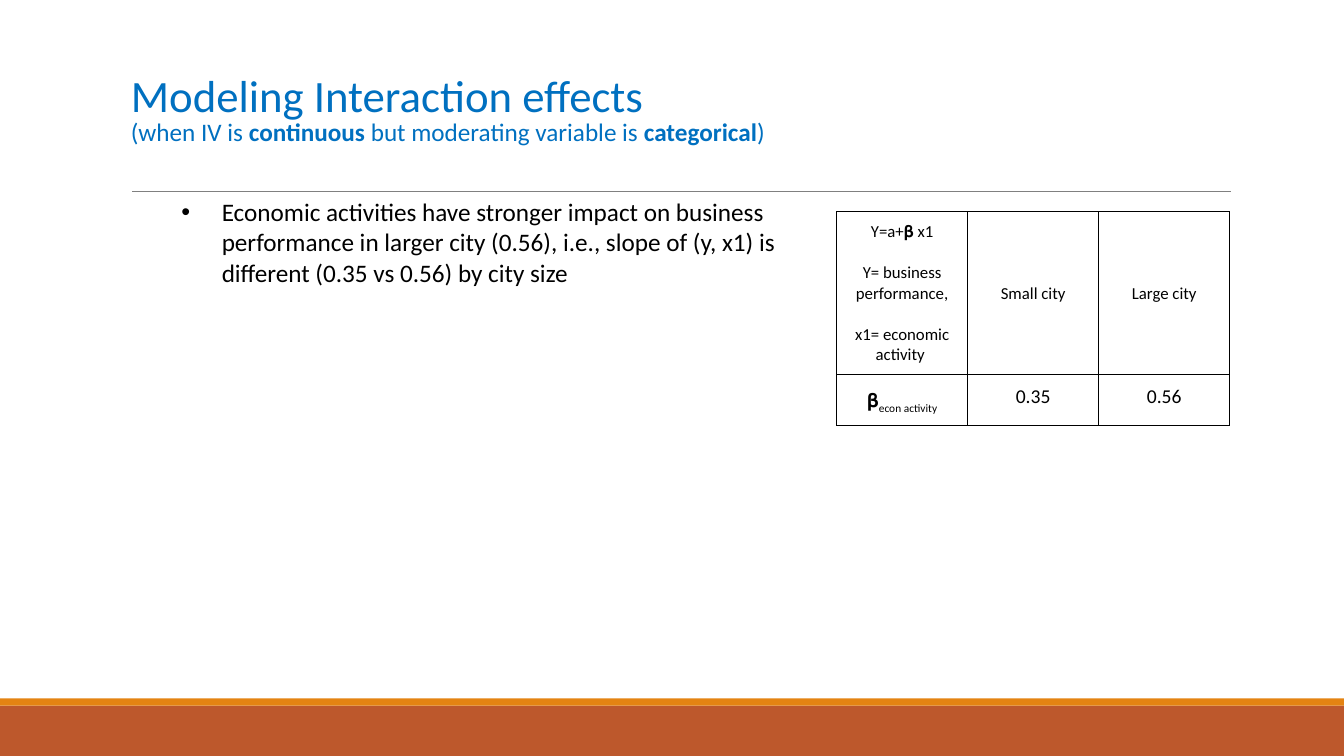
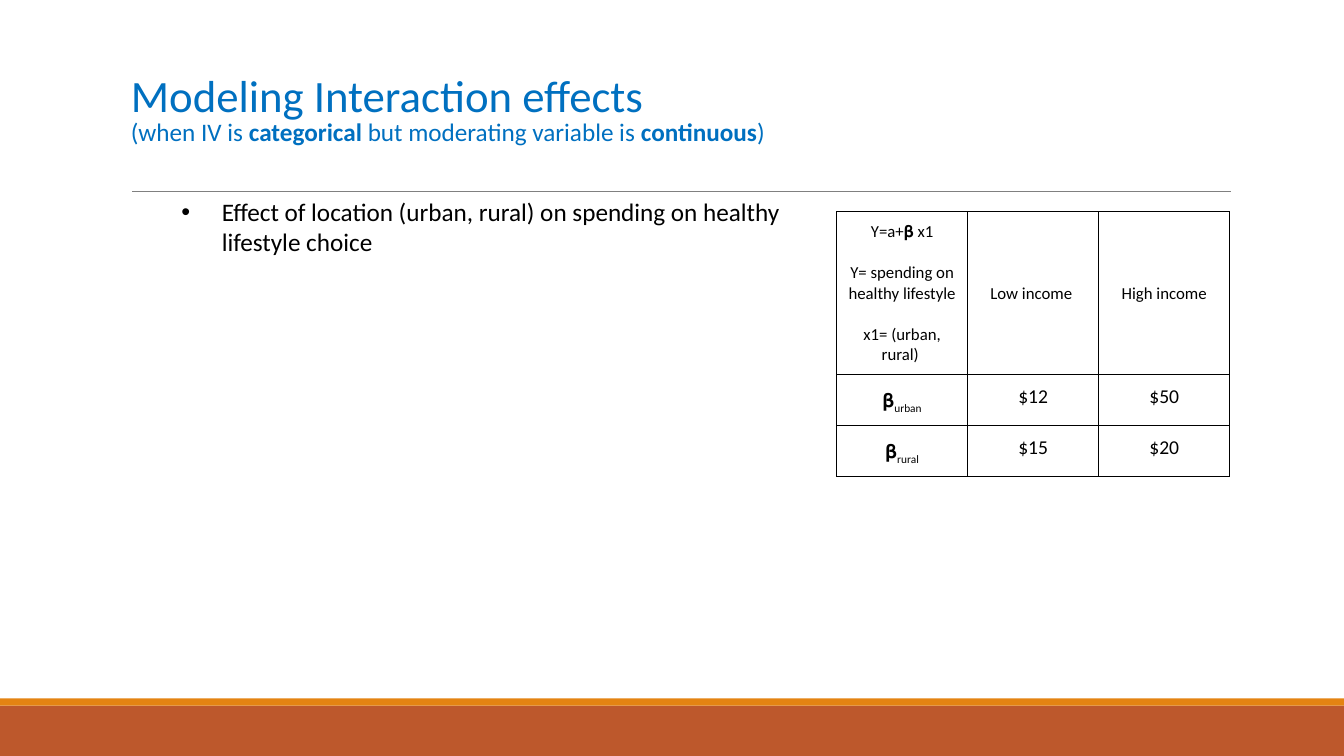
from lxml import etree
from pptx import Presentation
from pptx import util as u
from pptx.dml.color import RGBColor
from pptx.enum import shapes, text
from pptx.oxml.ns import qn

COLORS = {"title": "0070C0", "text": "000000", "rule": "808080",
          "band": "BD582C", "stripe": "E48312"}
FONT = "Calibri"
CELL = 0.1
WIDTH, HEIGHT = 133.33, 75
LEFT, RULE_ROW = 12, 19
CENTER = text.PP_ALIGN.CENTER
MIDDLE = text.MSO_ANCHOR.MIDDLE
TOP = text.MSO_ANCHOR.TOP


def grid(*lengths):
    return [u.Inches(length * CELL) for length in lengths]


def color(name):
    return RGBColor.from_string(COLORS[name])


class Builder:
    def __init__(self):
        self.deck = Presentation()
        self.deck.slide_width, self.deck.slide_height = grid(WIDTH, HEIGHT)
        self.page = None

    def new_page(self):
        self.page = self.deck.slides.add_slide(self.deck.slide_layouts[6])
        self.band("band", 70, 5)
        self.band("stripe", 69.3, 0.7)
        self.rule(13.1, 122.1, RULE_ROW)

    def band(self, name, row, rows):
        shape = self.page.shapes.add_shape(
            shapes.MSO_SHAPE.RECTANGLE, *grid(0, row, WIDTH, rows))
        shape.shadow.inherit = False
        shape.fill.solid()
        shape.fill.fore_color.rgb = color(name)
        shape.line.fill.background()

    def rule(self, start, end, row):
        line = self.page.shapes.add_connector(
            shapes.MSO_CONNECTOR.STRAIGHT, *grid(start, row, end, row))
        line.line.color.rgb = color("rule")
        line.line.width = u.Pt(0.5)
        etree.SubElement(line._element.spPr, qn("a:effectLst"))

    def style(self, para, size, name="text"):
        para.font.name = FONT
        para.font.size = u.Pt(size)
        para.font.color.rgb = color(name)

    def text_box(self, column, row, columns, rows):
        box = self.page.shapes.add_textbox(*grid(column, row, columns, rows))
        box.text_frame.word_wrap = True
        return box.text_frame

    def title(self, heading, subtitle):
        frame = self.text_box(LEFT, 3.1, 110, 15.9)
        frame.vertical_anchor = MIDDLE
        para = frame.paragraphs[0]
        para.line_spacing = 0.85
        self.style(para, 18, "title")
        span = para.add_run()
        span.text = heading
        span.font.size = u.Pt(32)
        para.add_line_break()
        for index, part in enumerate(subtitle.split("*")):
            span = para.add_run()
            span.text = part
            if index % 2:
                span.font.bold = True

    def bullet(self, words):
        frame = self.text_box(LEFT, RULE_ROW, 70.2, 49.4)
        frame.margin_left = frame.margin_right = 0
        para = frame.paragraphs[0]
        para.text = words
        self.style(para, 18)
        properties = para._p.get_or_add_pPr()
        properties.set("marL", str(u.Inches(1)))
        properties.set("indent", str(u.Inches(-0.4)))
        font = etree.Element(qn("a:buFont"), typeface="Arial")
        mark = etree.Element(qn("a:buChar"), char="•")
        properties.insert(0, font)
        properties.insert(1, mark)

    def border(self, cell):
        properties = cell._tc.get_or_add_tcPr()
        for index, side in enumerate(("lnL", "lnR", "lnT", "lnB")):
            line = etree.Element(qn("a:" + side), w=str(u.Pt(0.75)))
            fill = etree.SubElement(line, qn("a:solidFill"))
            etree.SubElement(fill, qn("a:srgbClr"), val=COLORS["text"])
            properties.insert(index, line)

    def fill_cell(self, cell, lines, size, anchor):
        cell.fill.background()
        self.border(cell)
        cell.margin_left = cell.margin_right = u.Inches(0.1)
        cell.margin_top = cell.margin_bottom = u.Inches(0.1)
        cell.vertical_anchor = anchor
        cell.text = "\n".join(lines)
        for index, para in enumerate(cell.text_frame.paragraphs):
            para.alignment = CENTER
            self.style(para, size)
            if index:
                para.space_before = u.Pt(14.6)

    def coefficient(self, cell, subscript):
        self.fill_cell(cell, ["𝛃"], 14, TOP)
        para = cell.text_frame.paragraphs[0]
        para.line_spacing = 1.15
        span = para.add_run()
        span.text = subscript
        span._r.get_or_add_rPr().set("baseline", "-25000")

    def table(self, model, groups, effects):
        heights = [16.2] + [5] * len(effects)
        frame = self.page.shapes.add_table(
            len(heights), 3, *grid(83, 21, 39, sum(heights)))
        table = frame.table
        table.first_row = table.horz_banding = False
        for row, height in zip(table.rows, grid(*heights)):
            row.height = height
        for index, lines in enumerate([model] + [[group] for group in groups]):
            self.fill_cell(table.cell(0, index), lines, 12, MIDDLE)
        for row, (subscript, *values) in enumerate(effects, 1):
            self.coefficient(table.cell(row, 0), subscript)
            for column, value in enumerate(values, 1):
                self.fill_cell(table.cell(row, column), [value], 14, TOP)


PAGES = [
    {"subtitle": "(when IV is *continuous* but moderating variable is *categorical*) ",
     "bullet": "Economic activities have stronger impact on business performance "
               "in larger city (0.56), i.e., slope of (y, x1) is different "
               "(0.35 vs 0.56) by city size",
     "model": ["Y=a+𝛃 x1", "Y= business performance,", "x1= economic activity "],
     "groups": ["Small city", "Large city"],
     "effects": [("econ activity", "0.35", "0.56")]},
    {"subtitle": "(when IV is *categorical *but moderating variable is *continuous*) ",
     "bullet": "Effect of location (urban, rural) on spending on healthy "
               "lifestyle choice",
     "model": ["Y=a+𝛃 x1", "Y= spending on healthy lifestyle ",
               "x1= (urban, rural) "],
     "groups": ["Low income ", "High income"],
     "effects": [("urban", "$12", "$50"), ("rural", "$15", "$20")]},
]

builder = Builder()
for content in PAGES:
    builder.new_page()
    builder.title("Modeling Interaction effects", content["subtitle"])
    builder.bullet(content["bullet"])
    builder.table(content["model"], content["groups"], content["effects"])
builder.deck.save("out.pptx")
